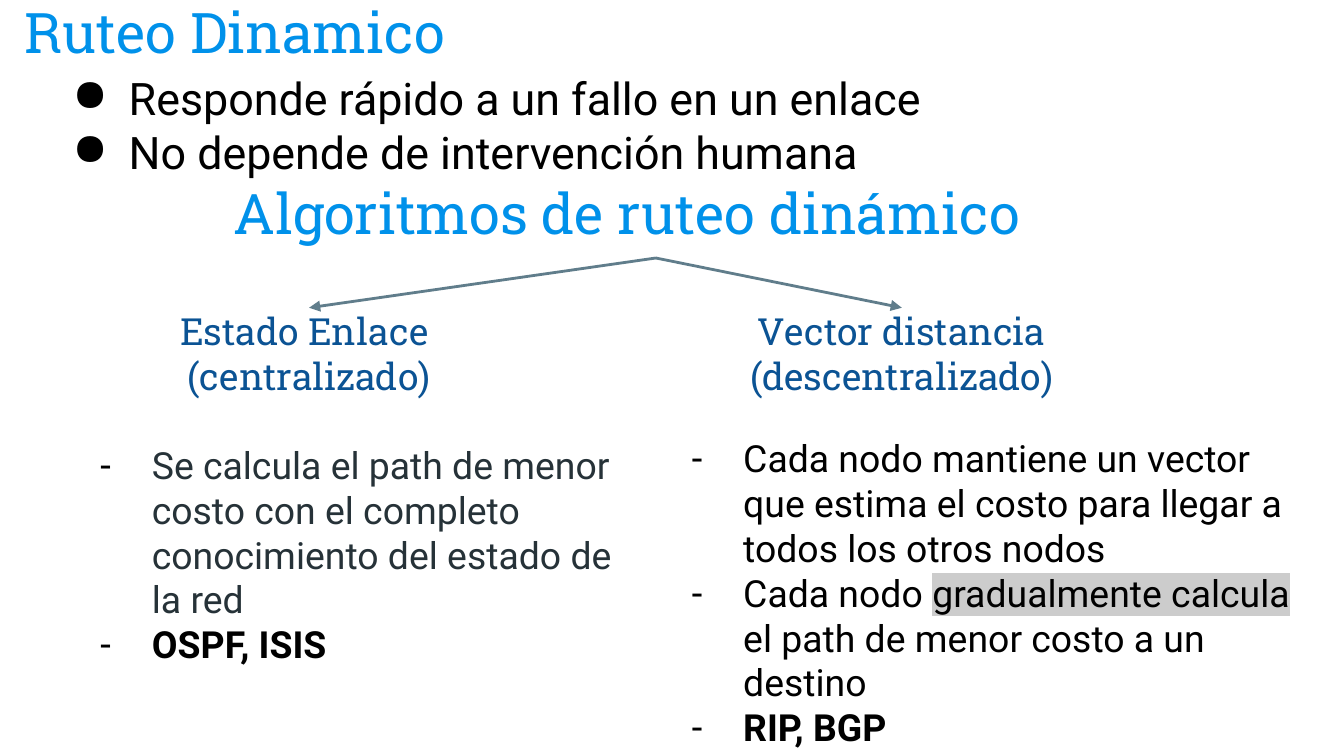
from dataclasses import dataclass

from lxml import etree
from pptx import Presentation
from pptx.dml.color import RGBColor
from pptx.enum.shapes import MSO_CONNECTOR
from pptx.enum.text import MSO_ANCHOR, MSO_AUTO_SIZE, PP_ALIGN
from pptx.oxml.ns import qn
from pptx.util import Inches, Pt

LEFT, CENTER = PP_ALIGN.LEFT, PP_ALIGN.CENTER
TOP, BOTTOM = MSO_ANCHOR.TOP, MSO_ANCHOR.BOTTOM
COMPARISON_LAYOUT = 4
PAGE_WIDTH = 10
PAGE_HEIGHT = PAGE_WIDTH * 9 / 16


@dataclass(frozen=True)
class Theme:
    heading_font: str = "Roboto Slab"
    body_font: str = "Roboto"
    title: str = "0091EA"
    branch: str = "0B5394"
    ink: str = "000000"
    soft_ink: str = "263238"
    arrow: str = "607D8B"
    marked: str = "CCCCCC"
    title_size: int = 30
    intro_size: int = 24
    text_size: int = 20
    inset: float = 0.1
    indent: float = 0.5


THEME = Theme()
TITLE = dict(font=THEME.heading_font, size=THEME.title_size, color=THEME.title, anchor=BOTTOM)
BRANCH = dict(font=THEME.heading_font, size=THEME.text_size, color=THEME.branch,
              anchor=BOTTOM, align=CENTER)
INTRO = dict(font=THEME.body_font, size=THEME.intro_size, color=THEME.ink,
             bullet="●", hanging=0.42)
DETAIL = dict(font=THEME.body_font, size=THEME.text_size, color=THEME.ink,
              bullet="-", hanging=0.39)

# Each paragraph is a list of (text, format) spans; boxes are left, top, width, height.
PAGE_TITLE = [[("Ruteo Dinamico", {})]]
ADVANTAGES = [
    [("Responde rápido a un fallo en un enlace", {})],
    [("No depende de intervención humana", {})],
]
TREE_TITLE = [[("Algoritmos de ruteo dinámico", {})]]
BRANCHES = [
    dict(
        heading=[[("Estado Enlace ", {})], [("(centralizado)", {})]],
        details=[
            [("Se calcula el path de menor costo con el completo conocimiento "
              "del estado de la red", {"color": THEME.soft_ink})],
            [("OSPF, ISIS", {"bold": True})],
        ],
        heading_left=0.65, details_box=(0.53, 3.19, 4.16, 1.3),
    ),
    dict(
        heading=[[("Vector distancia", {})], [("(descentralizado)", {})]],
        details=[
            [("Cada nodo mantiene un vector que estima el costo para llegar "
              "a todos los otros nodos", {})],
            [("Cada nodo ", {}), ("gradualmente calcula", {"highlight": THEME.marked}),
             (" el path de menor costo a un destino", {})],
            [("RIP, BGP", {"bold": True})],
        ],
        heading_left=5.06, details_box=(4.93, 3.14, 4.86, 2.18),
    ),
]
BRANCH_TOP, BRANCH_WIDTH, BRANCH_HEIGHT = 2.29, 3.3, 0.77
ROOT = (4.88, 1.92)


def add_color(parent, tag, color):
    element = etree.SubElement(parent, qn(tag))
    etree.SubElement(element, qn("a:srgbClr"), val=color)
    return element


def add_bullet(paragraph, style):
    properties = paragraph._p.get_or_add_pPr()
    properties.set("marL", str(Inches(THEME.indent)))
    properties.set("indent", str(-Inches(style["hanging"])))
    add_color(properties, "a:buClr", THEME.ink)
    etree.SubElement(properties, qn("a:buChar"), char=style["bullet"])


def remove_bullet(paragraph):
    properties = paragraph._p.get_or_add_pPr()
    properties.set("marL", "0")
    properties.set("indent", "0")
    etree.SubElement(properties, qn("a:buNone"))


def add_span(paragraph, text, style):
    span = paragraph.add_run()
    span.text = text
    font_values = dict(name=style["font"], size=Pt(style["size"]),
                       bold=style.get("bold", False))
    for name, value in font_values.items():
        setattr(span.font, name, value)
    span.font.color.rgb = RGBColor.from_string(style["color"])
    if "highlight" in style:
        properties = span._r.get_or_add_rPr()
        highlight = add_color(properties, "a:highlight", style["highlight"])
        properties.find(qn("a:solidFill")).addnext(highlight)


def fill_box(shape, box, paragraphs, style):
    """Place a placeholder or text box and write its styled paragraphs."""
    for name, value in zip(("left", "top", "width", "height"), box):
        setattr(shape, name, Inches(value))
    frame = shape.text_frame
    frame_values = dict(word_wrap=True, auto_size=MSO_AUTO_SIZE.NONE,
                        vertical_anchor=style.get("anchor", TOP))
    for side in ("left", "top", "right", "bottom"):
        frame_values[f"margin_{side}"] = Inches(THEME.inset)
    for name, value in frame_values.items():
        setattr(frame, name, value)
    for index, spans in enumerate(paragraphs):
        paragraph = frame.add_paragraph() if index else frame.paragraphs[0]
        if "bullet" in style:
            add_bullet(paragraph, style)
        else:
            remove_bullet(paragraph)
        paragraph.alignment = style.get("align", LEFT)
        paragraph.space_before = Pt(0)
        for text, changes in spans:
            add_span(paragraph, text, {**style, **changes})


def add_arrow(page, start, end):
    points = [Inches(value) for value in (*start, *end)]
    arrow = page.shapes.add_connector(MSO_CONNECTOR.STRAIGHT, *points)
    arrow.line.color.rgb = RGBColor.from_string(THEME.arrow)
    arrow.line.width = Pt(1.5)
    line = arrow._element.spPr.find(qn("a:ln"))
    etree.SubElement(line, qn("a:tailEnd"), type="triangle")
    etree.SubElement(arrow._element.spPr, qn("a:effectLst"))


def add_text_box(page, box, paragraphs, style):
    shape = page.shapes.add_textbox(*map(Inches, box))
    fill_box(shape, box, paragraphs, style)


def main():
    deck = Presentation()
    deck.slide_width, deck.slide_height = Inches(PAGE_WIDTH), Inches(PAGE_HEIGHT)
    page = deck.slides.add_slide(deck.slide_layouts[COMPARISON_LAYOUT])
    title, *bodies = page.placeholders

    fill_box(title, (0.08, -0.19, 8.28, 0.77), PAGE_TITLE, TITLE)
    add_text_box(page, (0.36, 0.43, 8.16, 1), ADVANTAGES, INTRO)
    add_text_box(page, (1.64, 1.41, 6.49, 0.52), TREE_TITLE, TITLE)

    for branch, heading, details in zip(BRANCHES, bodies[::2], bodies[1::2]):
        left = branch["heading_left"]
        heading_box = (left, BRANCH_TOP, BRANCH_WIDTH, BRANCH_HEIGHT)
        fill_box(heading, heading_box, branch["heading"], BRANCH)
        fill_box(details, branch["details_box"], branch["details"], DETAIL)
        add_arrow(page, ROOT, (left + BRANCH_WIDTH / 2, BRANCH_TOP))

    deck.save("out.pptx")


if __name__ == "__main__":
    main()
